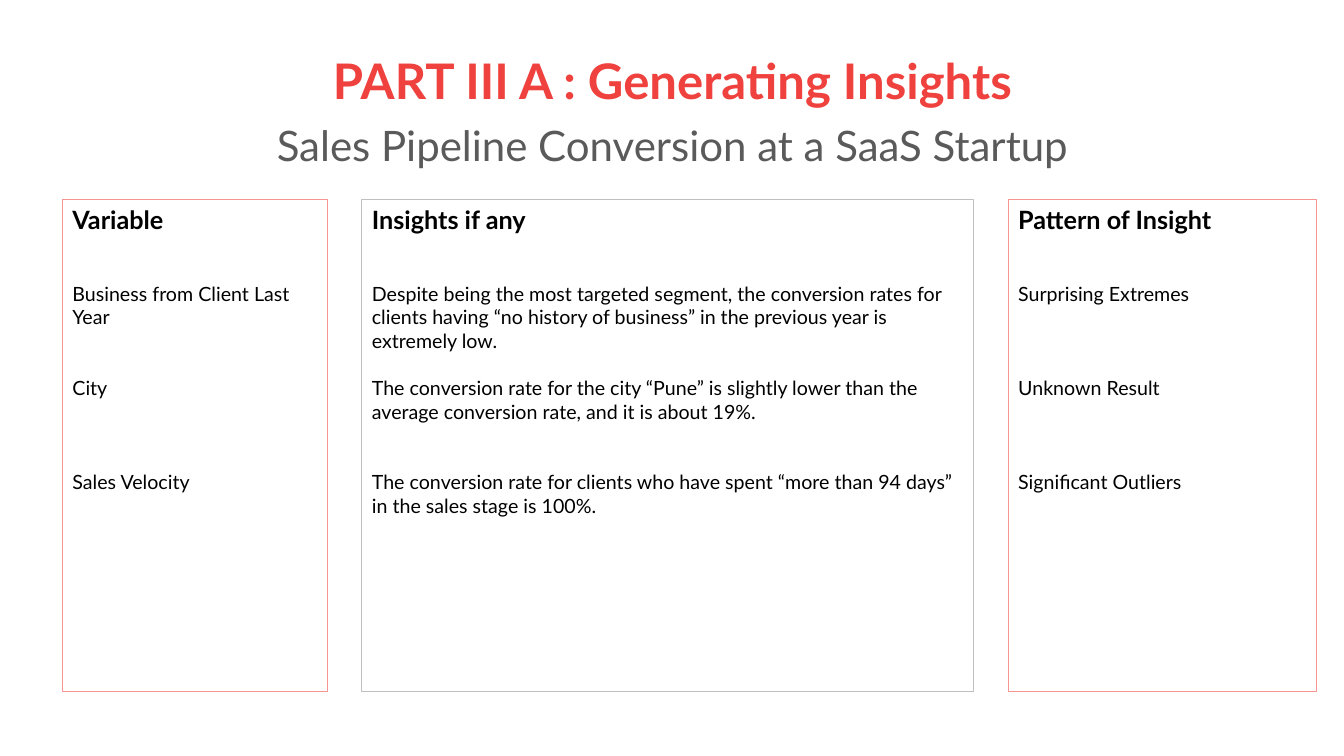
"""Builds the insights slide: a two-line title above three bordered columns."""
from pptx import Presentation
from pptx import util as u
from pptx.dml.color import RGBColor
from pptx.enum import shapes, text

FONT = "Lato"
RED, GREY, BLACK = "EF413D", "5A5A5A", "000000"
PALE_RED, PALE_GREY = "F69492", "BFBFBF"

TITLE = [
    ("PART III A : Generating Insights", 35, RED, True, 0),
    ("Sales Pipeline Conversion at a SaaS Startup", 30, GREY, False, 10.8),
]
COLUMNS = [
    ("Variable", 2.63, PALE_RED, [
        ("Business from Client Last Year", 2),
        ("City", 1),
        ("Sales Velocity", 1),
    ]),
    ("Insights if any", 6.07, PALE_GREY, [
        ("Despite being the most targeted segment, the conversion rates for clients having "
         "“no history of business” in the previous year is extremely low.", 3),
        ("The conversion rate for the city “Pune” is slightly lower than the average "
         "conversion rate, and it is about 19%.", 2),
        ("The conversion rate for clients who have spent “more than 94 days” in the "
         "sales stage is 100%.", 2),
    ]),
    ("Pattern of Insight", 3.06, PALE_RED, [
        ("Surprising Extremes", 1),
        ("Unknown Result", 1),
        ("Significant Outliers", 1),
    ]),
]
LEFT, TOP, HEIGHT, GAP = 0.62, 1.98, 4.88, 0.34
LINE, ROW_LINES, HEADER_GAP_LINES = 16.8, 4, 2


def color(value):
    return RGBColor.from_string(value)


def fill_frame(frame, lines, align, anchor, spacing=1.0):
    frame.word_wrap = True
    frame.vertical_anchor = anchor
    for index, (words, size, ink, bold, before) in enumerate(lines):
        para = frame.paragraphs[0] if index == 0 else frame.add_paragraph()
        para.alignment = align
        para.line_spacing = spacing
        para.space_before = u.Pt(before)
        span = para.add_run()
        span.text = words
        span.font.name = FONT
        span.font.size = u.Pt(size)
        span.font.bold = bold
        span.font.color.rgb = color(ink)


def column_lines(heading, entries):
    lines = [(heading, 18, BLACK, True, 0)]
    free = HEADER_GAP_LINES
    for words, used in entries:
        lines.append((words, 14, BLACK, False, free * LINE))
        free = ROW_LINES - used
    return lines


deck = Presentation()
deck.slide_width, deck.slide_height = u.Inches(13.33), u.Inches(7.5)
page = deck.slides.add_slide(deck.slide_layouts[6])

title = page.shapes.add_textbox(u.Inches(0.92), u.Inches(0.4), u.Inches(11.5), u.Inches(1.45))
fill_frame(title.text_frame, TITLE, text.PP_ALIGN.CENTER, text.MSO_ANCHOR.MIDDLE, 0.9)

left = LEFT
for heading, width, border, entries in COLUMNS:
    box = page.shapes.add_shape(shapes.MSO_SHAPE.RECTANGLE, u.Inches(left), u.Inches(TOP),
                                u.Inches(width), u.Inches(HEIGHT))
    box.shadow.inherit = False
    box.fill.background()
    box.line.color.rgb = color(border)
    box.line.width = u.Pt(0.75)
    fill_frame(box.text_frame, column_lines(heading, entries),
               text.PP_ALIGN.LEFT, text.MSO_ANCHOR.TOP)
    left += width + GAP

deck.save("out.pptx")
